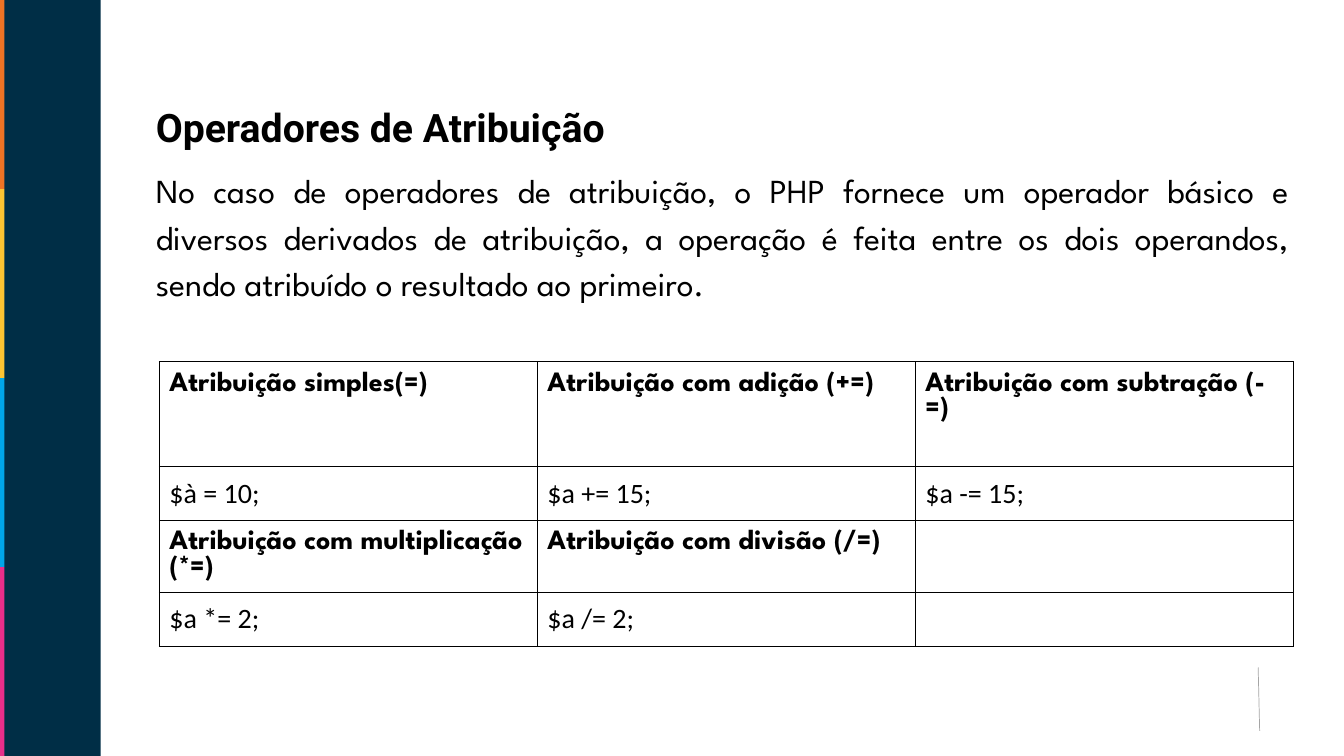
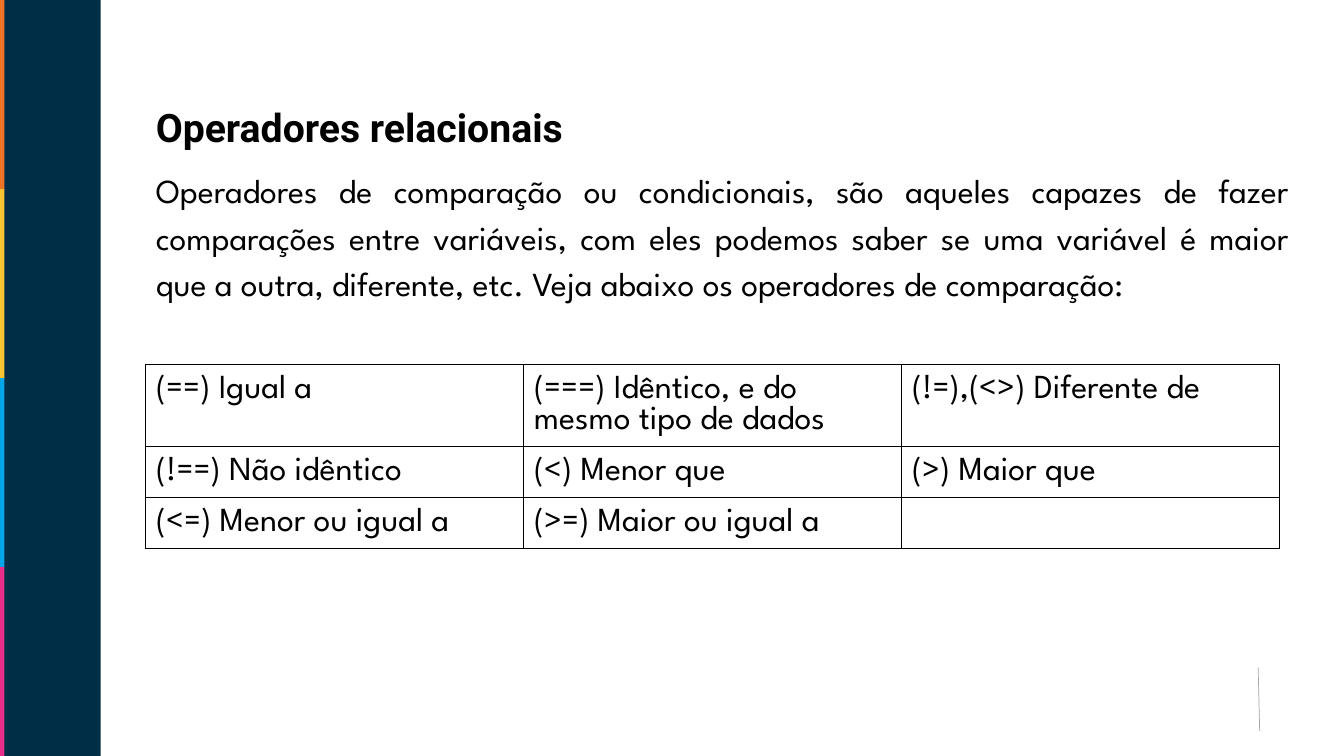
from lxml import etree
from pptx import Presentation
from pptx.dml.color import RGBColor
from pptx.enum.shapes import MSO_CONNECTOR, MSO_SHAPE
from pptx.enum.text import PP_ALIGN
from pptx.oxml import parse_xml
from pptx.oxml.ns import nsdecls, qn
from pptx.util import Pt

COLORS = {
    "navy": "002E46", "orange": "EE7325", "yellow": "FDC432",
    "cyan": "00A6E9", "pink": "E82E8A", "rule": "A5A5A5", "ink": "000000",
}
STRIPES = ("orange", "yellow", "cyan", "pink")
TITLE_FONT, BODY_FONT, CODE_FONT = "Roboto", "League Spartan", "Calibri"
WIDTH, HEIGHT = 960, 540
COLUMN_WIDTH = 270
CELL_LEADING = 0.92

ASSIGNMENT_INTRO = (
    "No caso de operadores de atribuição, o PHP fornece um operador básico e "
    "diversos derivados de atribuição, a operação é feita entre os dois "
    "operandos, sendo atribuído o resultado ao primeiro."
)
ASSIGNMENT_ROWS = [
    ["Atribuição simples(=)", "Atribuição com adição (+=)", "Atribuição com subtração (-=)"],
    ["$à = 10;", "$a += 15;", "$a -= 15;"],
    ["Atribuição com multiplicação (*=)", "Atribuição com divisão (/=)", ""],
    ["$a *= 2;", "$a /= 2;", ""],
]
RELATIONAL_INTRO = (
    "Operadores de comparação ou condicionais, são aqueles capazes de fazer "
    "comparações entre variáveis, com eles podemos saber se uma variável é "
    "maior que a outra, diferente, etc. Veja abaixo os operadores de comparação:"
)
RELATIONAL_ROWS = [
    ["(==) Igual a", "(===) Idêntico, e do mesmo tipo de dados", "(!=),(<>) Diferente de"],
    ["(!==) Não idêntico", "(<) Menor que", "(>) Maior que"],
    ["(<=) Menor ou igual a", "(>=) Maior ou igual a", ""],
]


def rgb(name):
    """Return the named colour."""
    return RGBColor.from_string(COLORS[name])


def style(paragraph, font_name, size, bold=False):
    """Format every run of a paragraph."""
    for run in paragraph.runs:
        run.font.name = font_name
        run.font.size = Pt(size)
        run.font.bold = bold
        run.font.color.rgb = rgb("ink")


def add_band(slide, left, top, width, height, color):
    """Draw a plain filled rectangle."""
    band = slide.shapes.add_shape(
        MSO_SHAPE.RECTANGLE, Pt(left), Pt(top), Pt(width), Pt(height))
    band.shadow.inherit = False
    band.fill.solid()
    band.fill.fore_color.rgb = rgb(color)
    band.line.fill.background()


def add_frame(slide):
    """Draw the side band, its stripes and the footer rule."""
    rule = slide.shapes.add_connector(
        MSO_CONNECTOR.STRAIGHT, Pt(898.7), Pt(476.8), Pt(899.8), Pt(522))
    rule.line.color.rgb = rgb("rule")
    rule.line.width = Pt(0.5)
    etree.SubElement(rule._element.spPr, qn("a:effectLst"))
    add_band(slide, 0, 0, 72, HEIGHT, "navy")
    stripe_height = HEIGHT / len(STRIPES)
    for index, color in enumerate(STRIPES):
        add_band(slide, 0, index * stripe_height, 3.2, stripe_height, color)


def add_text(slide, heading, intro):
    """Write the heading and the justified introduction."""
    frame = slide.shapes.add_textbox(Pt(104.2), Pt(53.2), Pt(823.7), Pt(180)).text_frame
    frame.word_wrap = True
    title = frame.paragraphs[0]
    title.text = heading
    title.line_spacing = 1.5
    style(title, TITLE_FONT, 28, True)
    body = frame.add_paragraph()
    body.text = intro
    body.alignment = PP_ALIGN.JUSTIFY
    body.line_spacing = 1.15
    body.space_before = Pt(10)
    style(body, BODY_FONT, 24)


def add_borders(cell):
    """Give a cell thin black lines on all sides."""
    properties = cell._tc.get_or_add_tcPr()
    for position, side in enumerate(("lnL", "lnR", "lnT", "lnB")):
        properties.insert(position, parse_xml(
            f'<a:{side} {nsdecls("a")} w="9525"><a:solidFill>'
            f'<a:srgbClr val="{COLORS["ink"]}"/></a:solidFill></a:{side}>'))


def add_grid(slide, left, top, rows, row_heights, size, code_rows=(), bold_rows=()):
    """Draw a bordered table of operators."""
    columns = len(rows[0])
    grid = slide.shapes.add_table(
        len(rows), columns, Pt(left), Pt(top),
        Pt(columns * COLUMN_WIDTH), Pt(sum(row_heights))).table
    grid.first_row = grid.horz_banding = False
    for column in grid.columns:
        column.width = Pt(COLUMN_WIDTH)
    for r, (texts, height) in enumerate(zip(rows, row_heights)):
        grid.rows[r].height = Pt(height)
        font_name = CODE_FONT if r in code_rows else BODY_FONT
        for c, text in enumerate(texts):
            cell = grid.cell(r, c)
            cell.margin_left = cell.margin_right = Pt(7.2)
            cell.margin_top = cell.margin_bottom = Pt(7.2)
            cell.fill.background()
            add_borders(cell)
            if text:
                cell.text_frame.text = text
                label = cell.text_frame.paragraphs[0]
                if font_name == BODY_FONT:
                    label.line_spacing = Pt(size * CELL_LEADING)
                style(label, font_name, size, r in bold_rows)


def add_topic(deck, heading, intro):
    """Add a slide with the shared frame, heading and introduction."""
    slide = deck.slides.add_slide(deck.slide_layouts[6])
    add_frame(slide)
    add_text(slide, heading, intro)
    return slide


def main():
    """Build and save the two slides."""
    deck = Presentation()
    deck.slide_width, deck.slide_height = Pt(WIDTH), Pt(HEIGHT)
    assignment = add_topic(deck, "Operadores de Atribuição", ASSIGNMENT_INTRO)
    add_grid(assignment, 113.8, 258.2, ASSIGNMENT_ROWS, (74.9, 38.6, 51.3, 38.6), 20,
             code_rows=(1, 3), bold_rows=(0, 2))
    relational = add_topic(deck, "Operadores relacionais", RELATIONAL_INTRO)
    add_grid(relational, 104.2, 260.4, RELATIONAL_ROWS, (58.6, 36.4, 36.4), 24)
    deck.save("out.pptx")


if __name__ == "__main__":
    main()
